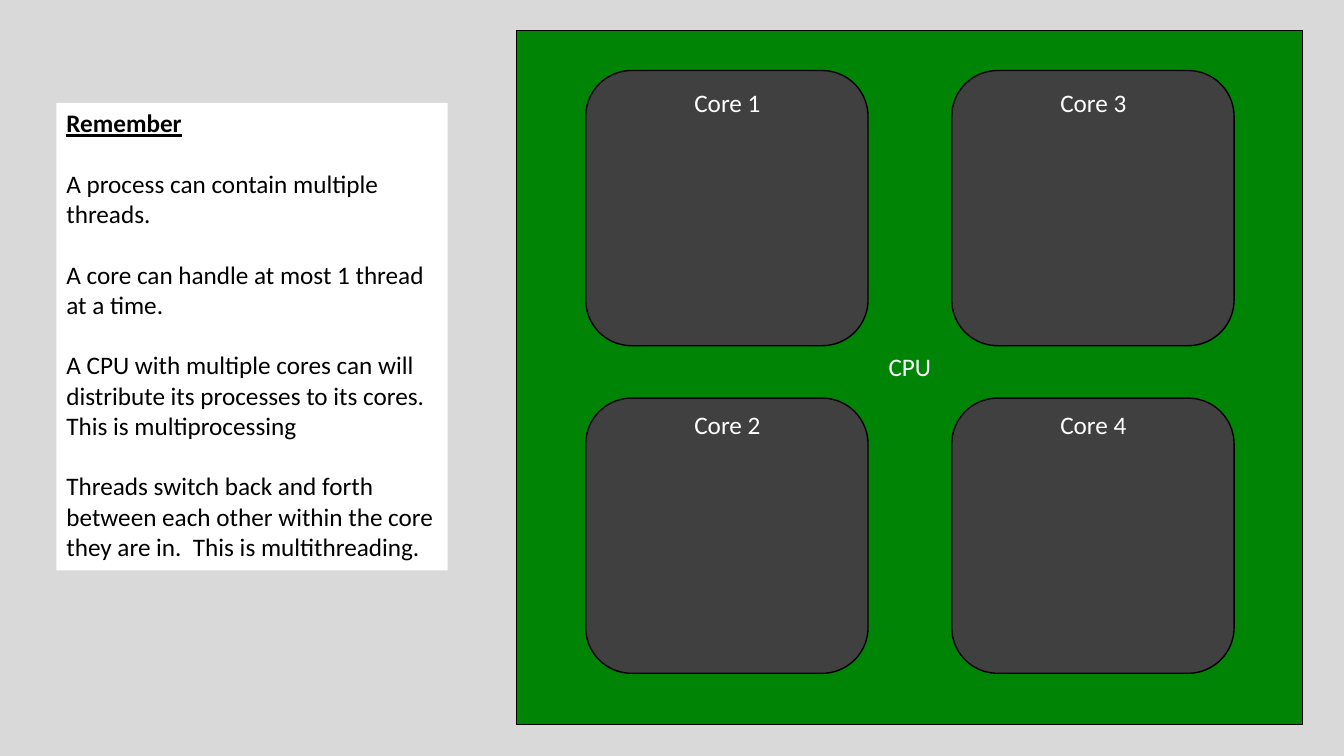
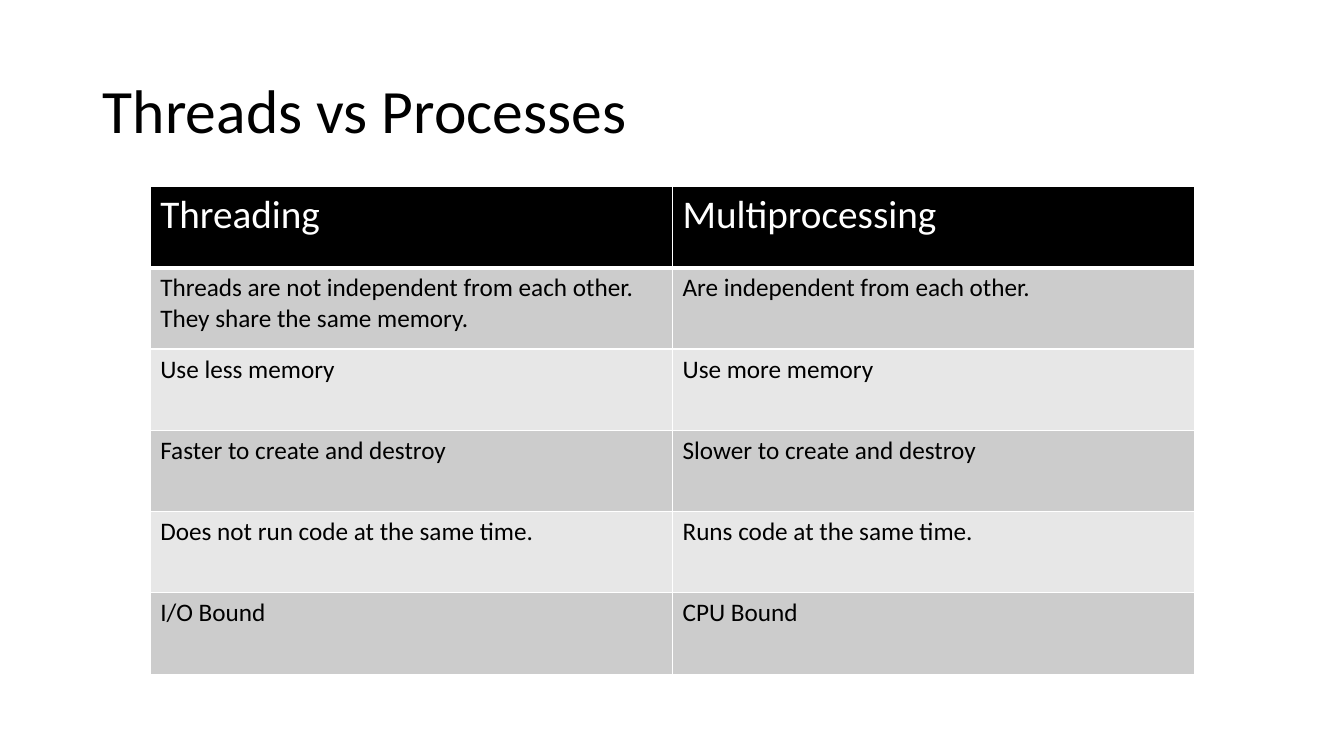
from lxml import etree
from pptx import Presentation
from pptx import util as u
from pptx.dml.color import RGBColor
from pptx.enum import shapes, text
from pptx.oxml.ns import qn

PX = 9144  # EMU in one px, 100 px to the inch
FONT = "Calibri"
INK = {
    "black": "000000", "white": "FFFFFF", "back": "D9D9D9",
    "board": "008405", "core": "404040", "dark": "CCCCCC", "light": "E7E7E7",
}
NOTES = [
    "Remember",
    "A process can contain multiple threads.",
    "A core can handle at most 1 thread at a time.",
    "A CPU with multiple cores can will distribute its processes to its cores.  "
    "This is multiprocessing",
    "Threads switch back and forth between each other within the core they are in.  "
    "This is multithreading.",
]
ROWS = [
    ("Threading", "Multiprocessing"),
    ("Threads are not independent from each other. They share the same memory.",
     "Are independent from each other."),
    ("Use less memory", "Use more memory"),
    ("Faster to create and destroy", "Slower to create and destroy"),
    ("Does not run code at the same time.", "Runs code at the same time."),
    ("I/O Bound", "CPU Bound"),
]


def px(*sizes):
    return [size * PX for size in sizes]


def rgb(name):
    return RGBColor.from_string(INK[name])


def style(para, size, color, align=text.PP_ALIGN.LEFT):
    para.alignment = align
    for run in para.runs:
        font = run.font
        font.name, font.size, font.bold = FONT, u.Pt(size), False
        font.color.rgb = rgb(color)


def paint(slide, name):
    fill = slide.background.fill
    fill.solid()
    fill.fore_color.rgb = rgb(name)


def panel(slide, kind, box, color, line=None):
    shape = slide.shapes.add_shape(kind, *px(*box))
    shape.shadow.inherit = False
    shape.fill.solid()
    shape.fill.fore_color.rgb = rgb(color)
    if line:
        shape.line.color.rgb = rgb(line)
        shape.line.width = u.Pt(1)
    else:
        shape.line.fill.background()
    return shape


def label(slide, words, mid, top, wide):
    """Add a one-line white label centred on mid."""
    box = slide.shapes.add_textbox(*px(mid - wide // 2, top, wide, 40))
    frame = box.text_frame
    frame.word_wrap = False
    frame.text = words
    style(frame.paragraphs[0], 18, "white", text.PP_ALIGN.CENTER)


def notes(slide, box):
    frame = panel(slide, shapes.MSO_SHAPE.RECTANGLE, box, "white").text_frame
    frame.word_wrap = True
    frame.vertical_anchor = text.MSO_ANCHOR.TOP
    frame.text = "\n".join(NOTES)
    for para in frame.paragraphs:
        style(para, 18, "black")
    for para in frame.paragraphs[1:]:
        para.space_before = u.Pt(21.6)
    head = frame.paragraphs[0].runs[0].font
    head.bold = head.underline = True


def title(slide, words):
    shape = slide.shapes.title
    shape.left, shape.top, shape.width, shape.height = px(92, 40, 1150, 145)
    frame = shape.text_frame
    frame.text = words
    frame.auto_size = text.MSO_AUTO_SIZE.NONE
    frame.vertical_anchor = text.MSO_ANCHOR.MIDDLE
    frame.paragraphs[0].line_spacing = 0.9
    style(frame.paragraphs[0], 44, "black")


def edge(cell, side, width):
    """Draw one white border; call before the cell is filled."""
    props = cell._tc.get_or_add_tcPr()
    line = etree.SubElement(props, qn("a:ln" + side), w=str(u.Pt(width)))
    fill = etree.SubElement(line, qn("a:solidFill"))
    etree.SubElement(fill, qn("a:srgbClr"), val=INK["white"])


def grid(slide, rows, box):
    table = slide.shapes.add_table(len(rows), len(rows[0]), *px(*box)).table
    for r, row in enumerate(rows):
        if r == 0:
            back, size, color = "black", 28, "white"
        else:
            back, size, color = "dark" if r % 2 else "light", 18, "black"
        for c, words in enumerate(row):
            cell = table.cell(r, c)
            for side in "LRTB":
                head = (r, side) in ((0, "B"), (1, "T"))
                edge(cell, side, 3 if head else 1)
            cell.fill.solid()
            cell.fill.fore_color.rgb = rgb(back)
            cell.text = words
            style(cell.text_frame.paragraphs[0], size, color)


def cores(deck):
    slide = deck.slides.add_slide(deck.slide_layouts[6])
    paint(slide, "back")
    kinds = shapes.MSO_SHAPE
    panel(slide, kinds.RECTANGLE, (512, 30, 780, 689), "board", "black")
    wide, tall = 280, 273
    spots = [(left, top, gap) for left in (581, 944)
             for top, gap in ((70, 12), (395, 6))]
    for num, (left, top, gap) in enumerate(spots, 1):
        box = left, top, wide, tall
        panel(slide, kinds.ROUNDED_RECTANGLE, box, "core", "black")
        label(slide, f"Core {num}", left + wide // 2, top + gap, 87)
    label(slide, "CPU", 902, 344, 63)
    notes(slide, (56, 102, 388, 464))


def versus(deck):
    slide = deck.slides.add_slide(deck.slide_layouts[5])
    paint(slide, "white")
    title(slide, "Threads vs Processes")
    grid(slide, ROWS, (149, 185, 1036, 484))


def main():
    deck = Presentation()
    deck.slide_width, deck.slide_height = px(1333, 750)
    cores(deck)
    versus(deck)
    deck.save("out.pptx")


if __name__ == "__main__":
    main()
